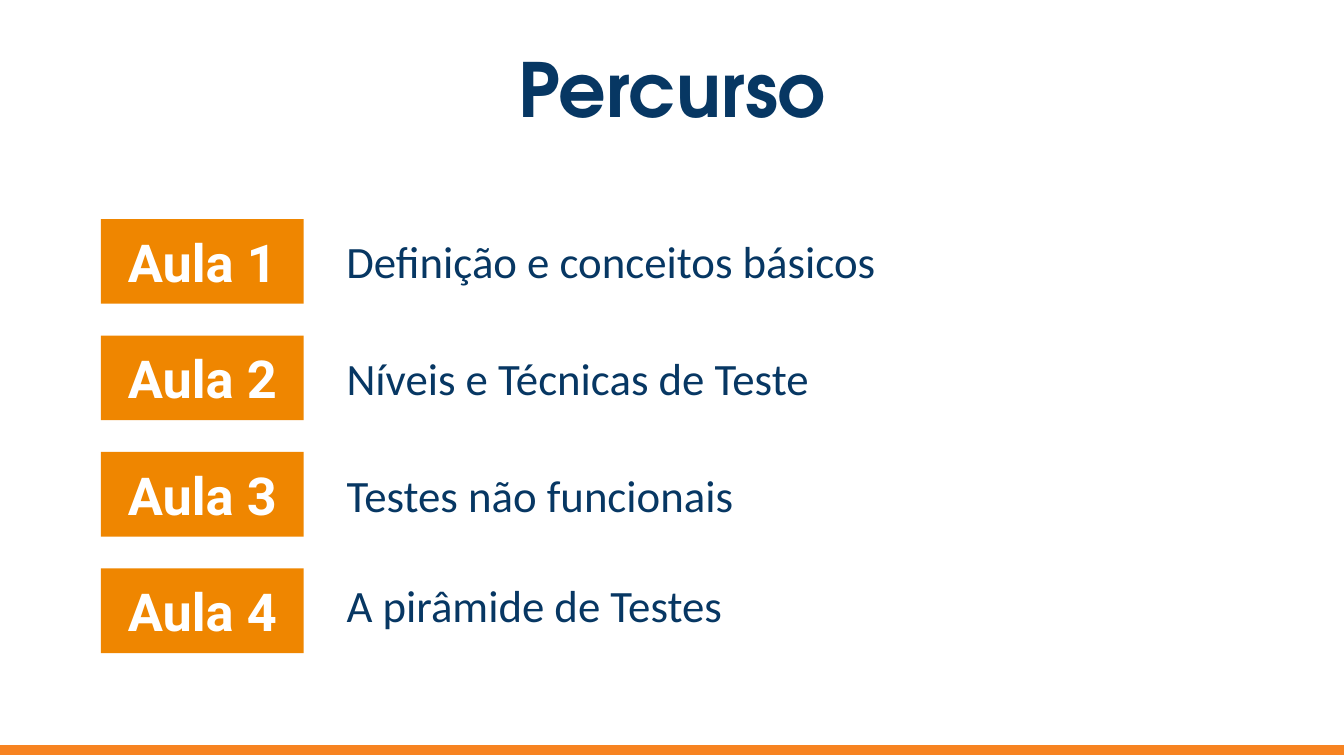
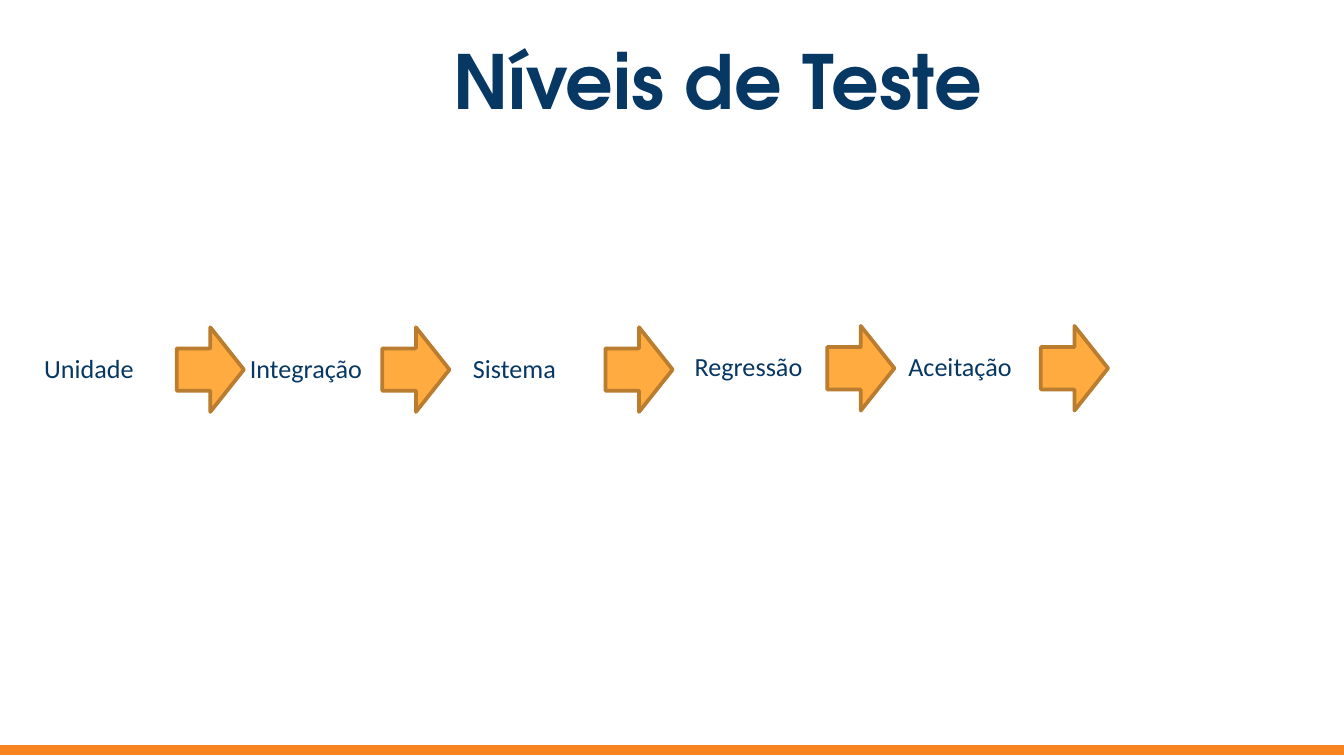
from dataclasses import dataclass

from lxml import etree
from pptx import Presentation
from pptx.dml.color import RGBColor
from pptx.enum.shapes import MSO_SHAPE
from pptx.enum.text import MSO_ANCHOR, MSO_AUTO_SIZE, PP_ALIGN
from pptx.oxml.ns import qn
from pptx.util import Inches, Pt

RECTANGLE = MSO_SHAPE.RECTANGLE
DOWN_ARROW = MSO_SHAPE.DOWN_ARROW
MIDDLE = MSO_ANCHOR.MIDDLE
TOP = MSO_ANCHOR.TOP
CENTER = PP_ALIGN.CENTER
LEFT = PP_ALIGN.LEFT
FIT_SHAPE = MSO_AUTO_SIZE.SHAPE_TO_FIT_TEXT


@dataclass(frozen=True)
class Theme:
    navy: str = "073763"
    white: str = "FFFFFF"
    badge: str = "EF8600"
    footer: str = "F78321"
    arrow: str = "FFAB40"
    arrow_line: str = "BA7C2E"
    title_font: str = "TeX Gyre Adventor"
    badge_font: str = "Roboto"
    body_font: str = "Calibri"
    title_size: int = 40
    badge_size: int = 28
    topic_size: int = 24
    level_size: int = 14


theme = Theme()


def add_block(slide, kind, left, top, width, height, fill, line=None, line_width=0):
    shape = slide.shapes.add_shape(kind, Inches(left), Inches(top), Inches(width), Inches(height))
    shape.shadow.inherit = False
    shape.fill.solid()
    shape.fill.fore_color.rgb = RGBColor.from_string(fill)
    if line:
        shape.line.color.rgb = RGBColor.from_string(line)
        shape.line.width = Pt(line_width)
    else:
        shape.line.fill.background()
    return shape


def write_text(box, text, font, size, color, heading=False):
    frame = box.text_frame
    frame.word_wrap = True
    frame.vertical_anchor = MIDDLE if heading else TOP
    frame.margin_left = frame.margin_right = Inches(0.1)
    frame.margin_top = frame.margin_bottom = Inches(0.1 if heading else 0.05)
    if not heading:
        frame.auto_size = FIT_SHAPE
    para = frame.paragraphs[0]
    para.text = text
    para.alignment = CENTER if heading else LEFT
    para.font.name = font
    para.font.size = Pt(size)
    para.font.bold = heading
    para.font.color.rgb = RGBColor.from_string(color)
    return para


deck = Presentation()
deck.slide_width = Inches(10)
deck.slide_height = deck.slide_width * 9 // 16

pages = []
for title, left, top in [("Percurso", 0.34, 0.33), ("Níveis de Teste", 0.68, 0.27)]:
    page = deck.slides.add_slide(deck.slide_layouts[6])
    page.background.fill.solid()
    page.background.fill.fore_color.rgb = RGBColor.from_string(theme.white)
    title_box = page.shapes.add_textbox(Inches(left), Inches(top), Inches(9.32), Inches(0.65))
    write_text(title_box, title, theme.title_font, theme.title_size, theme.navy, heading=True)
    add_block(page, RECTANGLE, 0, 5.55, 10, 0.06, theme.footer, theme.footer, 0.75)
    pages.append(page)
route_page, levels_page = pages

lessons = [
    ("Definição e conceitos básicos", 4.16, 1.69),
    ("Níveis e Técnicas de Teste", 3.79, 2.56),
    ("Testes não funcionais", 3.18, 3.43),
    ("A pirâmide de Testes", 3.18, 4.25),
]
first_badge, last_badge = 1.63, 4.23
badge_pitch = (last_badge - first_badge) / (len(lessons) - 1)
for index, (topic, width, topic_top) in enumerate(lessons):
    badge_top = first_badge + index * badge_pitch
    badge = add_block(route_page, RECTANGLE, 0.75, badge_top, 1.51, 0.63, theme.badge)
    write_text(badge, f"Aula {index + 1}", theme.badge_font, theme.badge_size, theme.white, heading=True)
    topic_box = route_page.shapes.add_textbox(Inches(2.48), Inches(topic_top), Inches(width), Inches(0.5))
    topic_para = write_text(topic_box, topic, theme.body_font, theme.topic_size, theme.navy)
    properties = topic_para._p.get_or_add_pPr()
    properties.set("marL", str(Inches(0.5)))
    properties.set("indent", str(Inches(-0.5)))

levels = [
    ("Unidade", 0.23, 2.57, 0.96),
    ("Integração", 1.76, 2.57, 1.21),
    ("Sistema", 3.42, 2.57, 0.96),
    ("Regressão", 5.07, 2.56, 1.19),
    ("Aceitação", 6.66, 2.56, 1.19),
]
arrow_offset, arrow_rise = 1.02, 0.07
for level, left, top, width in levels:
    arrow = add_block(levels_page, DOWN_ARROW, left + arrow_offset, top - arrow_rise, 0.63, 0.5,
                      theme.arrow, theme.arrow_line, 2)
    arrow.rotation = 270
    outline = arrow.element.spPr.find(qn("a:ln"))
    etree.SubElement(outline, qn("a:round"))
    level_box = levels_page.shapes.add_textbox(Inches(left), Inches(top), Inches(width), Inches(0.34))
    write_text(level_box, level, theme.body_font, theme.level_size, theme.navy)

deck.save("out.pptx")
